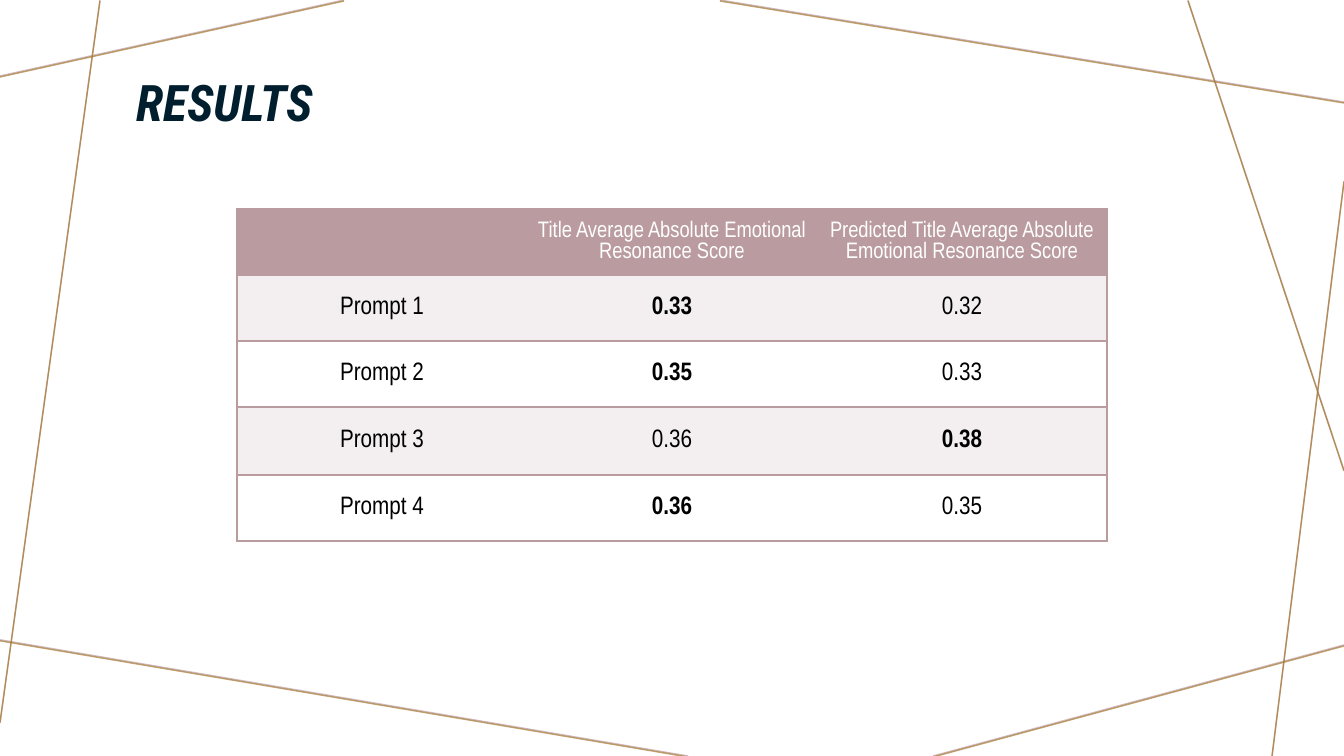
from lxml import etree
from pptx import Presentation
from pptx import util as u
from pptx.dml.color import RGBColor
from pptx.enum import shapes, text
from pptx.oxml import ns

PX = 914400 / 100.8
ROSE, GOLD, NAVY = "BA9CA0", "A57931", "001E2E"
WHITE, BLACK, BAND = "FFFFFF", "000000", "F3EFF0"


def px(length):
    return u.Emu(round(length * PX))


def rgb(value):
    return RGBColor.from_string(value)


deck = Presentation()
deck.slide_width, deck.slide_height = px(1344), px(756)
slide = deck.slides.add_slide(deck.slide_layouts[5])

rays = [
    (344, 0, 0, 76), (100, 0, 0, 722), (688, 756, -5, 639),
    (1344, 645, 933, 756), (1344, 181, 1272, 756),
    (1344, 470, 1188, 0), (1344, 102, 720, 0),
]
for color, drop in ((ROSE, 0), (GOLD, 1)):
    for x1, y1, x2, y2 in rays:
        ray = slide.shapes.add_connector(
            shapes.MSO_CONNECTOR.STRAIGHT, px(x1), px(y1 + drop), px(x2), px(y2 + drop))
        ray.line.width = u.Pt(1)
        ray.line.color.rgb = rgb(color)
        tint = ray.line._ln.find(".//" + ns.qn("a:srgbClr"))
        etree.SubElement(tint, ns.qn("a:alpha"), val="70000")
        etree.SubElement(ray._element.spPr, ns.qn("a:effectLst"))

title = slide.shapes.title
title.left, title.top, title.width, title.height = px(126), px(58), px(1092), px(79)
title.text_frame.auto_size = text.MSO_AUTO_SIZE.NONE
title.text_frame.vertical_anchor = text.MSO_ANCHOR.BOTTOM
heading = title.text_frame.paragraphs[0]
heading.alignment = text.PP_ALIGN.LEFT
heading.line_spacing = 0.9
heading_run = heading.add_run()
heading_run.text = "RESULTS"
heading_run.font.name = "Roboto Condensed"
heading_run.font.size = u.Pt(36)
heading_run.font.bold = heading_run.font.italic = True
heading_run.font.color.rgb = rgb(NAVY)

scores = [
    ("", "Title Average Absolute Emotional Resonance Score",
     "Predicted Title Average Absolute Emotional Resonance Score"),
    ("Prompt 1", "0.33", "0.32"),
    ("Prompt 2", "0.35", "0.33"),
    ("Prompt 3", "0.36", "0.38"),
    ("Prompt 4", "0.36", "0.35"),
]
row_heights = [66, 66, 66, 68, 66]
results = slide.shapes.add_table(
    5, 3, px(237), px(209), px(870), px(sum(row_heights))).table
results.first_row = results.horz_banding = False
results._tbl.tblPr.find(ns.qn("a:tableStyleId")).text = "{2D5ABB26-0587-4C30-8999-92F81FD0307C}"
for column in results.columns:
    column.width = px(290)

for r, (row, height) in enumerate(zip(scores, row_heights)):
    results.rows[r].height = px(height)
    best = max(row[1:])
    for c, entry in enumerate(row):
        cell = results.cell(r, c)
        cell.vertical_anchor = text.MSO_ANCHOR.MIDDLE
        cell.fill.solid()
        cell.fill.fore_color.rgb = rgb(ROSE if r == 0 else BAND if r % 2 else WHITE)
        sides = [side for side, shown in
                 (("L", c == 0), ("R", c == 2), ("T", True), ("B", True)) if shown]
        for position, side in enumerate(sides):
            border = etree.Element(ns.qn("a:ln" + side), w=str(u.Pt(1)))
            paint = etree.SubElement(border, ns.qn("a:solidFill"))
            etree.SubElement(paint, ns.qn("a:srgbClr"), val=ROSE)
            cell._tc.tcPr.insert(position, border)
        if entry:
            line = cell.text_frame.paragraphs[0]
            line.alignment = text.PP_ALIGN.CENTER
            run = line.add_run()
            run.text = entry
            run.font.name = "Arial Narrow"
            run.font.size = u.Pt(18 if r else 16)
            run.font.bold = r > 0 and entry == best
            run.font.color.rgb = rgb(BLACK if r else WHITE)

deck.save("out.pptx")
